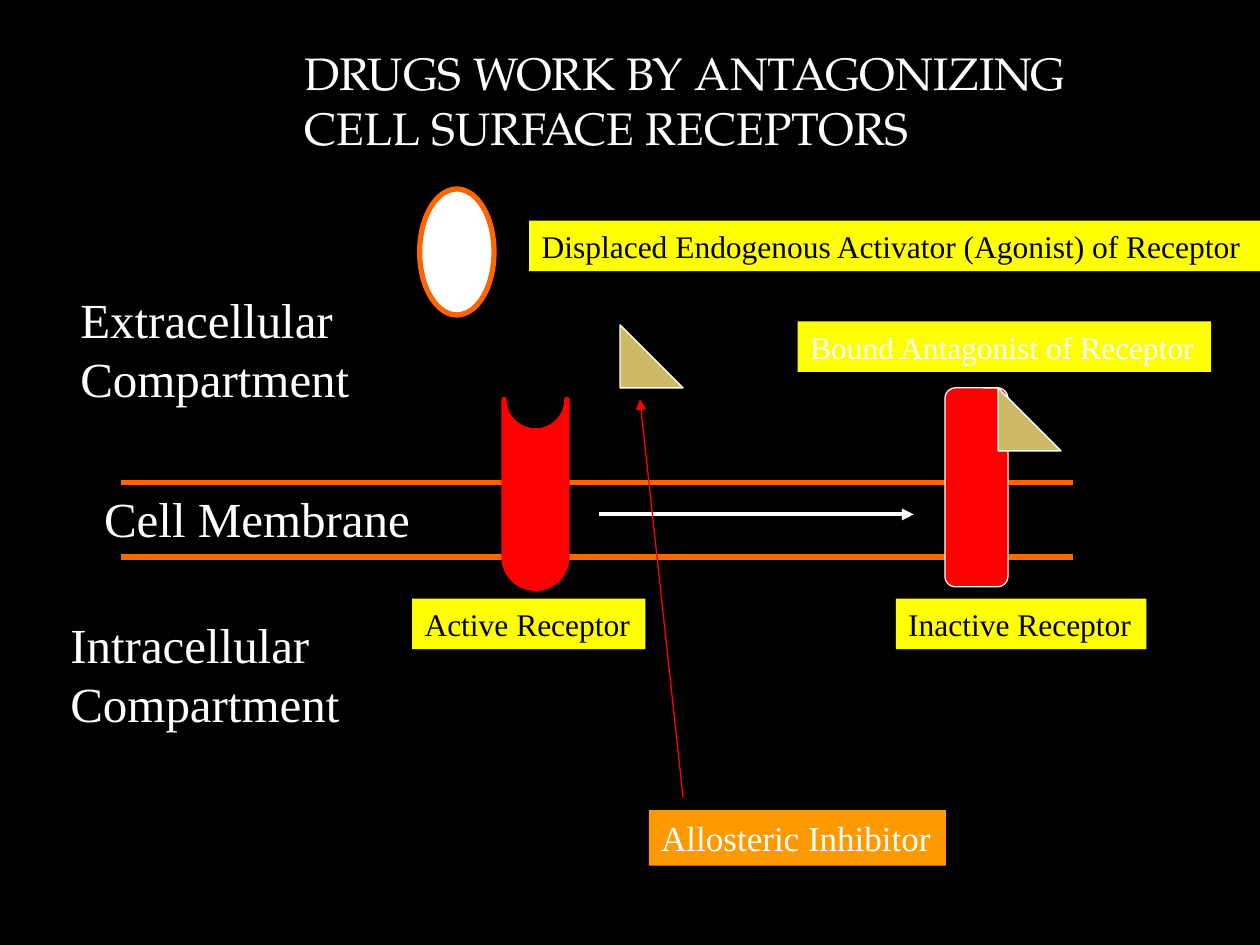
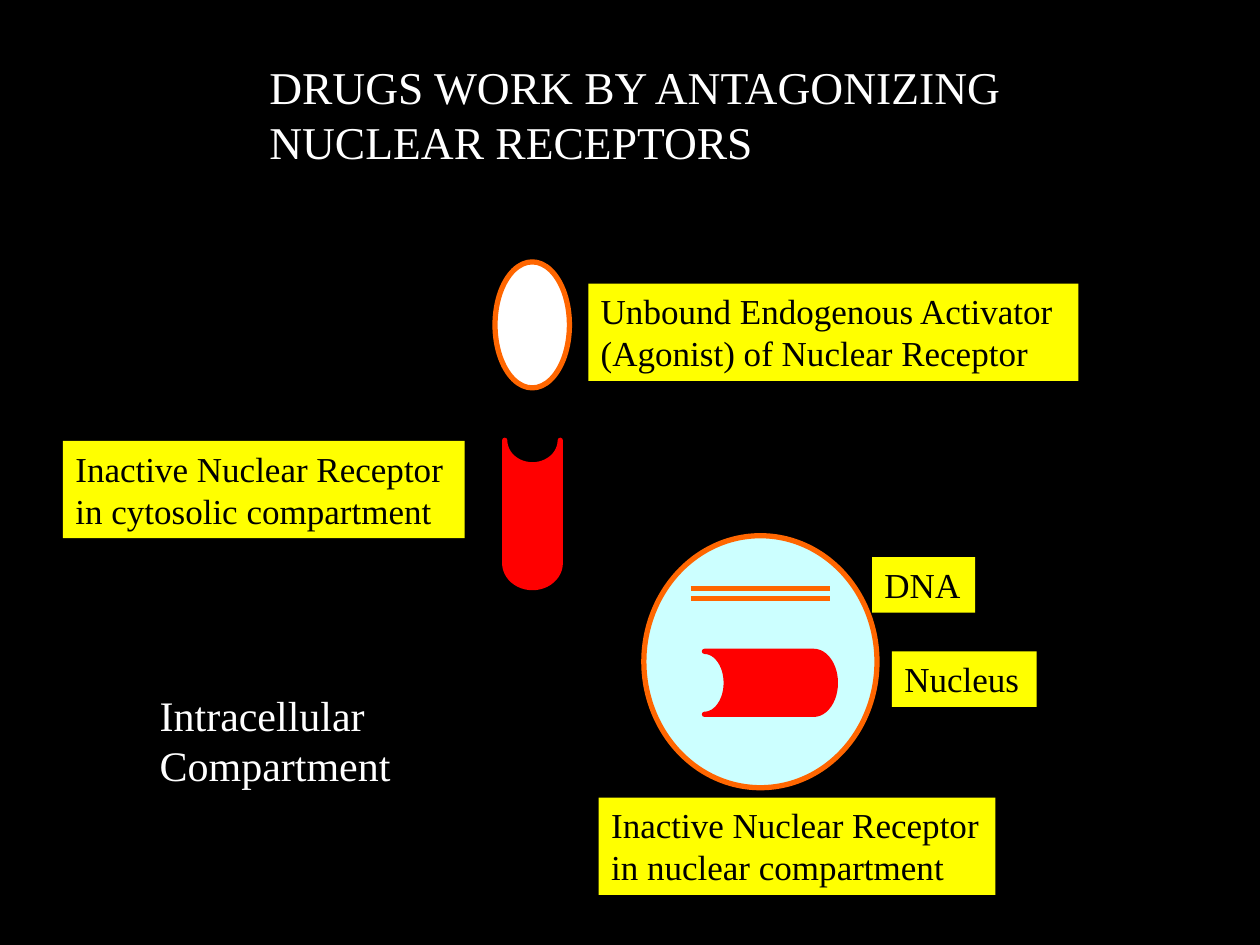
from dataclasses import dataclass

from pptx import Presentation
from pptx import util as u
from pptx.dml.color import RGBColor
from pptx.enum import shapes, text
from pptx.oxml.ns import qn
from lxml import etree


@dataclass(frozen=True)
class Theme:
    black: str = "000000"
    white: str = "FFFFFF"
    orange: str = "FF6600"
    red: str = "FF0000"
    yellow: str = "FFFF00"
    amber: str = "FF9900"
    sand: str = "CEB966"
    pale_blue: str = "CCFFFF"
    body_font: str = "Times New Roman"
    title_font: str = "TeX Gyre Pagella"
    title_size: int = 26
    compartment_size: int = 28
    small_compartment_size: int = 24
    label_size: int = 20
    small_label_size: int = 18
    thick: float = 3
    medium: float = 2.25
    thin: float = 0.75


theme = Theme()
kinds = shapes.MSO_SHAPE

# Shared looks: fill, outline colour, outline width
receptor_look = (theme.red, theme.red, theme.thick)
agonist_look = (theme.white, theme.orange, theme.thick)
nucleus_look = (theme.pale_blue, theme.orange, theme.thick)
antagonist_look = (theme.sand, theme.white, theme.thin)
blocked_look = (theme.red, theme.white, theme.thin)
label_look = (theme.yellow, None, None)
inhibitor_look = (theme.amber, None, None)


def add_block(slide, kind, box, look=None, words="", size=theme.label_size,
              color=theme.black, font=theme.body_font, rotation=0):
    """Add a shape, or a plain text box when kind is None; box is in cm."""
    place = [u.Cm(value) for value in box]
    if kind is None:
        shape = slide.shapes.add_textbox(*place)
    else:
        shape = slide.shapes.add_shape(kind, *place)
        shape.shadow.inherit = False
        shape.rotation = rotation
        fill, outline, width = look
        shape.fill.solid()
        shape.fill.fore_color.rgb = RGBColor.from_string(fill)
        if outline:
            shape.line.color.rgb = RGBColor.from_string(outline)
            shape.line.width = u.Pt(width)
        else:
            shape.line.fill.background()
    if words:
        frame = shape.text_frame
        frame.text = words
        frame_format = {"word_wrap": True, "vertical_anchor": text.MSO_ANCHOR.TOP}
        for name, value in frame_format.items():
            setattr(frame, name, value)
        for paragraph in frame.paragraphs:
            paragraph.alignment = text.PP_ALIGN.LEFT
            for name, value in {"name": font, "size": u.Pt(size)}.items():
                setattr(paragraph.font, name, value)
            paragraph.font.color.rgb = RGBColor.from_string(color)
    return shape


def add_line(slide, ends, color, width, arrow=False):
    """Add a straight line; ends are x1, y1, x2, y2 in cm."""
    line = slide.shapes.add_connector(
        shapes.MSO_CONNECTOR.STRAIGHT, *[u.Cm(value) for value in ends])
    line.line.color.rgb = RGBColor.from_string(color)
    line.line.width = u.Pt(width)
    properties = line.line._get_or_add_ln()
    if arrow:
        etree.SubElement(properties, qn("a:tailEnd"), type="triangle")
    etree.SubElement(properties.getparent(), qn("a:effectLst"))


# Presentation with two black slides
presentation = Presentation()
presentation.slide_width = u.Cm(25.4)
presentation.slide_height = u.Cm(19.05)
surface_slide, nuclear_slide = [
    presentation.slides.add_slide(presentation.slide_layouts[6]) for _ in range(2)]
for slide in (surface_slide, nuclear_slide):
    slide.background.fill.solid()
    slide.background.fill.fore_color.rgb = RGBColor.from_string(theme.black)

# Titles
for slide, box, words, font in (
    (surface_slide, (5.89, 0.79, 17.83, 2.49),
     "DRUGS WORK BY ANTAGONIZING\nCELL SURFACE RECEPTORS", theme.title_font),
    (nuclear_slide, (5.18, 1.07, 15.6, 2.49),
     "DRUGS WORK BY ANTAGONIZING\nNUCLEAR RECEPTORS", theme.body_font),
):
    add_block(slide, None, box, words=words, size=theme.title_size,
              color=theme.white, font=font)

# Surface slide: membrane
for height in (9.73, 11.23):
    add_line(surface_slide, (2.44, height, 21.64, height), theme.orange, theme.thick)

# Surface slide: receptors and ligands
add_block(surface_slide, kinds.FLOWCHART_STORED_DATA, (8.89, 9.32, 3.81, 1.27),
          receptor_look, rotation=270)
add_block(surface_slide, kinds.OVAL, (8.46, 3.81, 1.5, 2.54), agonist_look)
add_block(surface_slide, kinds.ROUNDED_RECTANGLE, (19.05, 7.82, 1.27, 4.01), blocked_look)
for left, top in ((20.12, 7.82), (12.5, 6.55)):
    add_block(surface_slide, kinds.RIGHT_TRIANGLE, (left, top, 1.27, 1.27), antagonist_look)

# Surface slide: compartments
for box, words in (
    ((1.85, 9.73, 6.73, 1.45), "Cell Membrane"),
    ((1.37, 5.72, 5.99, 2.64), "Extracellular\nCompartment"),
    ((1.17, 12.27, 5.99, 2.64), "Intracellular\nCompartment"),
):
    add_block(surface_slide, None, box, words=words,
              size=theme.compartment_size, color=theme.white)

# Surface slide: labels
for left, top, width, words, color in (
    (10.67, 4.45, 14.73, "Displaced Endogenous Activator (Agonist) of Receptor", theme.black),
    (18.06, 12.07, 5.05, "Inactive Receptor", theme.black),
    (16.08, 6.48, 8.33, "Bound Antagonist of Receptor", theme.white),
    (8.31, 12.07, 4.7, "Active Receptor", theme.black),
):
    add_block(surface_slide, kinds.RECTANGLE, (left, top, width, 1.02), label_look,
              words, theme.small_label_size, color)
add_block(surface_slide, kinds.RECTANGLE, (13.08, 16.33, 5.99, 1.12), inhibitor_look,
          "Allosteric Inhibitor", color=theme.white)

# Surface slide: arrows
add_line(surface_slide, (12.07, 10.37, 18.42, 10.37), theme.white, theme.medium, arrow=True)
add_line(surface_slide, (13.77, 16.08, 12.9, 8.05), theme.red, theme.thin, arrow=True)

# Nuclear slide: cytosolic receptor and its agonist
add_block(nuclear_slide, kinds.FLOWCHART_STORED_DATA, (9.25, 9.8, 2.97, 1.12),
          receptor_look, rotation=270)
add_block(nuclear_slide, kinds.OVAL, (9.98, 5.28, 1.5, 2.54), agonist_look)

# Nuclear slide: nucleus with DNA and receptor
add_block(nuclear_slide, kinds.OVAL, (12.98, 10.8, 4.7, 5.08), nucleus_look)
for height in (11.86, 12.07):
    add_line(nuclear_slide, (13.92, height, 16.74, height), theme.orange, theme.thick)
add_block(nuclear_slide, kinds.FLOWCHART_STORED_DATA, (14.2, 13.13, 2.64, 1.27),
          receptor_look, rotation=180)

# Nuclear slide: compartment and labels
add_block(nuclear_slide, None, (2.97, 13.77, 5.21, 2.31),
          words="Intracellular\nCompartment",
          size=theme.small_compartment_size, color=theme.white)
for box, words in (
    ((11.86, 5.72, 9.88, 1.96), "Unbound Endogenous Activator\n(Agonist) of Nuclear Receptor"),
    ((1.27, 8.89, 8.1, 1.96), "Inactive Nuclear Receptor\nin cytosolic compartment"),
    ((17.98, 13.13, 2.92, 1.12), "Nucleus"),
    ((17.58, 11.23, 2.08, 1.12), "DNA"),
    ((12.07, 16.08, 8.0, 1.96), "Inactive Nuclear Receptor\nin nuclear compartment"),
):
    add_block(nuclear_slide, kinds.RECTANGLE, box, label_look, words)

presentation.save("out.pptx")
